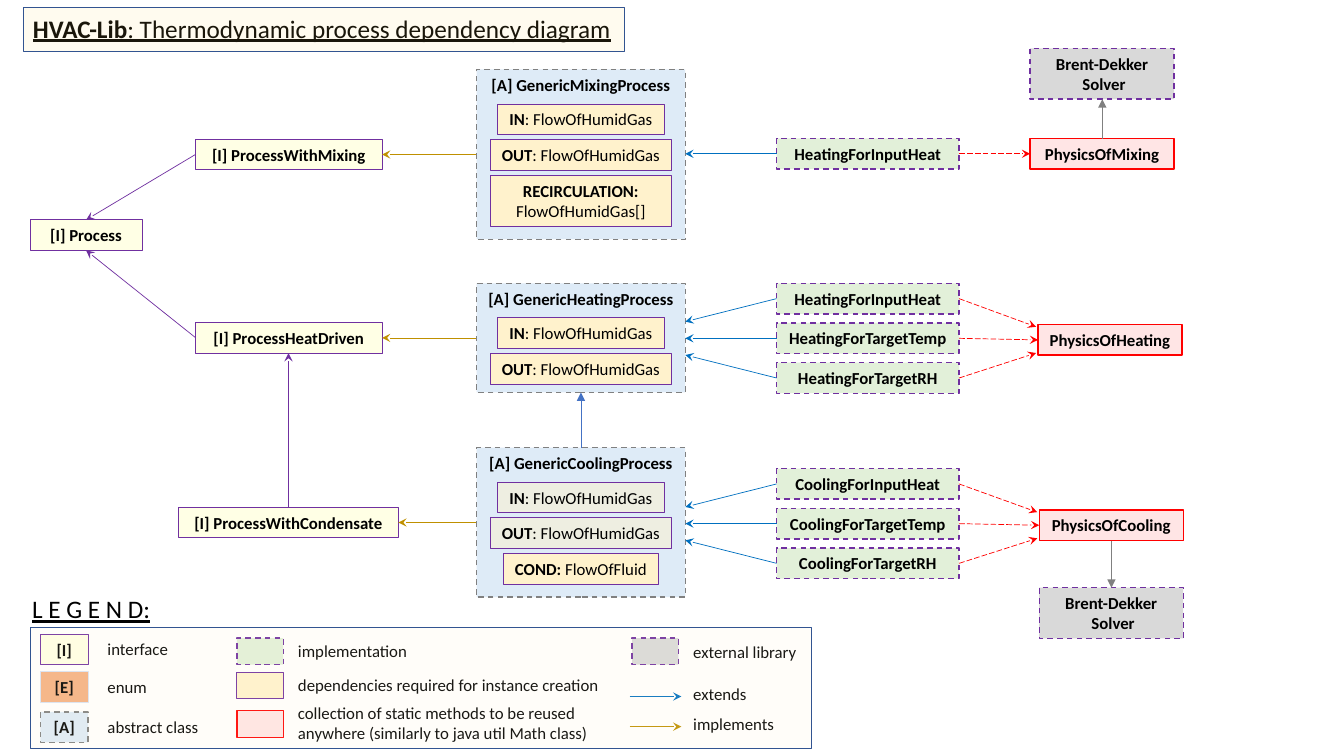
from pptx import Presentation
from pptx.dml.color import RGBColor
from pptx.enum.dml import MSO_LINE_DASH_STYLE as Dash
from pptx.enum.shapes import MSO_CONNECTOR as Conn, MSO_SHAPE as Shape
from pptx.enum.text import MSO_ANCHOR as Anchor, PP_ALIGN as Align
from pptx.oxml.ns import qn
from pptx.util import Cm, Pt
from lxml.etree import SubElement

BOXES = {
    "interface": ("FFFF00", 10, "7030A0", 0.5, None),
    "enum": ("F4B183", 100, "DAE3F3", 0.5, None),
    "abstract": ("DEEBF7", 100, "808080", 1, Dash.DASH),
    "implementation": ("E2F0D9", 100, "7030A0", 1, Dash.DASH),
    "dependency": ("FFF2CC", 100, "7030A0", 0.5, None),
    "inherited": ("FFF2CC", 50, "7030A0", 0.5, None),
    "static": ("FF0000", 10, "FF0000", 1, None),
    "external": ("D9D9D9", 100, "7030A0", 1, Dash.DASH),
    "title": ("FFD966", 10, "325491", 0.25, None),
    "legend": ("FFF2CC", 10, "325491", 0.5, None),
}
ARROWS = {
    "interface": ("7030A0", None, "stealth"),
    "implements": ("BF9000", None, "stealth"),
    "extends": ("0070C0", None, "stealth"),
    "uses": ("FF0000", Dash.LONG_DASH, "stealth"),
    "abstract": ("4472C4", None, "triangle"),
    "solver": ("808080", None, "triangle"),
}
ROW_H = 0.77
MID = ROW_H / 2


def color(value):
    return RGBColor.from_string(value)


class Diagram:
    font = "Calibri"

    def __init__(self, slide):
        self.s = slide

    def add_text(self, tf, paragraphs, size=12, align=Align.LEFT, underline=None):
        tf.word_wrap = True
        for i, runs in enumerate(paragraphs):
            p = tf.paragraphs[0] if i == 0 else tf.add_paragraph()
            p.alignment = align
            for text, bold in runs:
                r = p.add_run()
                r.text = text
                r.font.name = self.font
                r.font.size = Pt(size)
                r.font.bold = bold
                r.font.underline = underline
                r.font.color.rgb = color("000000")

    def label(self, x, y, w, h, *runs, **style):
        tb = self.s.shapes.add_textbox(Cm(x), Cm(y), Cm(w), Cm(h))
        self.add_text(tb.text_frame, [runs], **style)

    def box(self, kind, x, y, w, h, *paragraphs, anchor=Anchor.MIDDLE):
        fill, alpha, line, weight, dash = BOXES[kind]
        sp = self.s.shapes.add_shape(Shape.RECTANGLE, Cm(x), Cm(y), Cm(w), Cm(h))
        sp.shadow.inherit = False
        sp.fill.solid()
        sp.fill.fore_color.rgb = color(fill)
        if alpha < 100:
            clr = sp._element.spPr.find(qn("a:solidFill"))[0]
            SubElement(clr, qn("a:alpha")).set("val", str(alpha * 1000))
        sp.line.color.rgb = color(line)
        sp.line.width = Pt(weight)
        if dash:
            sp.line.dash_style = dash
        tf = sp.text_frame
        tf.vertical_anchor = anchor
        tf.margin_left = tf.margin_right = Cm(0.1)
        self.add_text(tf, paragraphs, align=Align.CENTER)

    def name(self, kind, x, y, w, *lines, h=ROW_H, **place):
        self.box(kind, x, y, w, h, *[[(line, True)] for line in lines], **place)

    def arrow(self, kind, x1, y1, x2, y2):
        line, dash, head = ARROWS[kind]
        c = self.s.shapes.add_connector(Conn.STRAIGHT, Cm(x1), Cm(y1), Cm(x2), Cm(y2))
        c.line.color.rgb = color(line)
        c.line.width = Pt(0.5)
        if dash:
            c.line.dash_style = dash
        spPr = c._element.spPr
        SubElement(spPr.find(qn("a:ln")), qn("a:tailEnd")).set("type", head)
        SubElement(spPr, qn("a:effectLst"))

    def abstract(self, title, y, h, fields):
        x, w = 12.01, 5.26
        self.name("abstract", x, y, w, title, h=h, anchor=Anchor.TOP)
        for i, (kind, key, value, fw, fh) in enumerate(fields):
            self.box(kind, x + (w - fw) / 2, y + 0.87 + i * 0.9, fw, fh,
                     [(key, True), (value, False)])

    def implementations(self, names, y, physics, px, py):
        x, w = 19.57, 4.6
        self.name("static", px, py, 3.63, physics)
        for i, name in enumerate(names):
            top = y + i
            offset = i - (len(names) - 1) / 2
            center = y + (len(names) - 1) / 2 + MID
            self.name("implementation", x, top, w, name)
            self.arrow("extends", x, top + MID, 17.27, center + offset * 0.42)
            self.arrow("uses", x + w, top + MID,
                       px - abs(offset) * 0.05, py + MID + offset * 0.33)


def draw_hierarchy(d):
    d.name("interface", 0.76, 5.54, 2.82, "[I] Process")
    for name, x, y, w in [("[I] ProcessWithMixing", 4.93, 3.51, 4.7),
                          ("[I] ProcessHeatDriven", 4.93, 8.13, 4.7),
                          ("[I] ProcessWithCondensate", 4.5, 12.78, 5.54)]:
        d.name("interface", x, y, w, name)
        d.arrow("implements", 12.01, y + MID, x + w, y + MID)
    d.arrow("interface", 4.93, 3.89, 2.17, 5.54)
    d.arrow("interface", 4.93, 8.51, 2.17, 6.31)
    d.arrow("interface", 7.27, 12.78, 7.27, 8.9)


def draw_processes(d):
    gas = ": FlowOfHumidGas"
    flows = [("IN", gas, 4.22, ROW_H), ("OUT", gas, 4.57, ROW_H)]
    own = [("dependency", *flow) for flow in flows]
    inherited = [("inherited", *flow) for flow in flows]
    recirculation = ("dependency", "RECIRCULATION:", " FlowOfHumidGas[]", 4.57, 1.28)
    cond = ("dependency", "COND:", " FlowOfFluid", 3.91, ROW_H)
    d.abstract("[A] GenericMixingProcess", 1.75, 4.28, own + [recirculation])
    d.abstract("[A] GenericHeatingProcess", 7.14, 2.75, own)
    d.abstract("[A] GenericCoolingProcess", 11.28, 3.77, inherited + [cond])
    d.arrow("abstract", 14.64, 11.28, 14.64, 9.89)

    d.implementations(["HeatingForInputHeat"], 3.49, "PhysicsOfMixing", 25.96, 3.49)
    for action, y, px, py in [("Heating", 7.14, 26.16, 8.18),
                              ("Cooling", 11.81, 26.19, 12.85)]:
        names = [f"{action}For{goal}" for goal in ("InputHeat", "TargetTemp", "TargetRH")]
        d.implementations(names, y, f"PhysicsOf{action}", px, py)

    for x, y, start, end in [(25.96, 1.22, 3.49, 2.5), (26.19, 14.81, 13.62, 14.81)]:
        d.name("external", x, y, 3.63, "Brent-Dekker", " Solver", h=1.28)
        d.arrow("solver", x + 1.82, start, x + 1.82, end)


def draw_legend(d):
    d.label(0.56, 14.83, 9.47, 1.02, ("L E G E N D:", False), size=18, underline=True)
    for kind, mark, text, y in [("interface", "[I]", "interface", 15.98),
                                ("enum", "[E]", "enum", 16.93),
                                ("abstract", "[A]", "abstract class", 17.94)]:
        d.name(kind, 1.02, y, 1.2, mark)
        d.label(2.46, y, 7.5, ROW_H, (text, False))
    methods = ("collection of static methods to be reused anywhere "
               "(similarly to java util Math class)")
    needs = "dependencies required for instance creation"
    for kind, text, x, y, text_y in [
            ("implementation", "implementation", 5.97, 16.08, 16.03),
            ("dependency", needs, 5.97, 16.94, 16.89),
            ("static", methods, 5.97, 17.91, 17.58),
            ("external", "external library", 15.93, 16.08, 16.05)]:
        d.box(kind, x, y, 1.17, 0.67)
        d.label(x + 1.29, text_y, 8.66, ROW_H, (text, False))
    for kind, y in [("extends", 17.55), ("implements", 18.31)]:
        d.arrow(kind, 15.87, y, 17.17, y)
        d.label(17.22, y - 0.44, 8.66, ROW_H, (kind, False))
    d.box("legend", 0.76, 15.82, 19.69, 3.05)


def main():
    prs = Presentation()
    prs.slide_width, prs.slide_height = Cm(33.87), Cm(19.05)
    d = Diagram(prs.slides.add_slide(prs.slide_layouts[6]))
    d.label(0.58, 0.2, 16.94, 1.02, ("HVAC-Lib", True),
            (": Thermodynamic process dependency diagram", False),
            size=18, underline=True)
    d.box("title", 0.58, 0.18, 15.16, 1.12)
    draw_hierarchy(d)
    draw_processes(d)
    draw_legend(d)
    prs.save("out.pptx")


if __name__ == "__main__":
    main()
